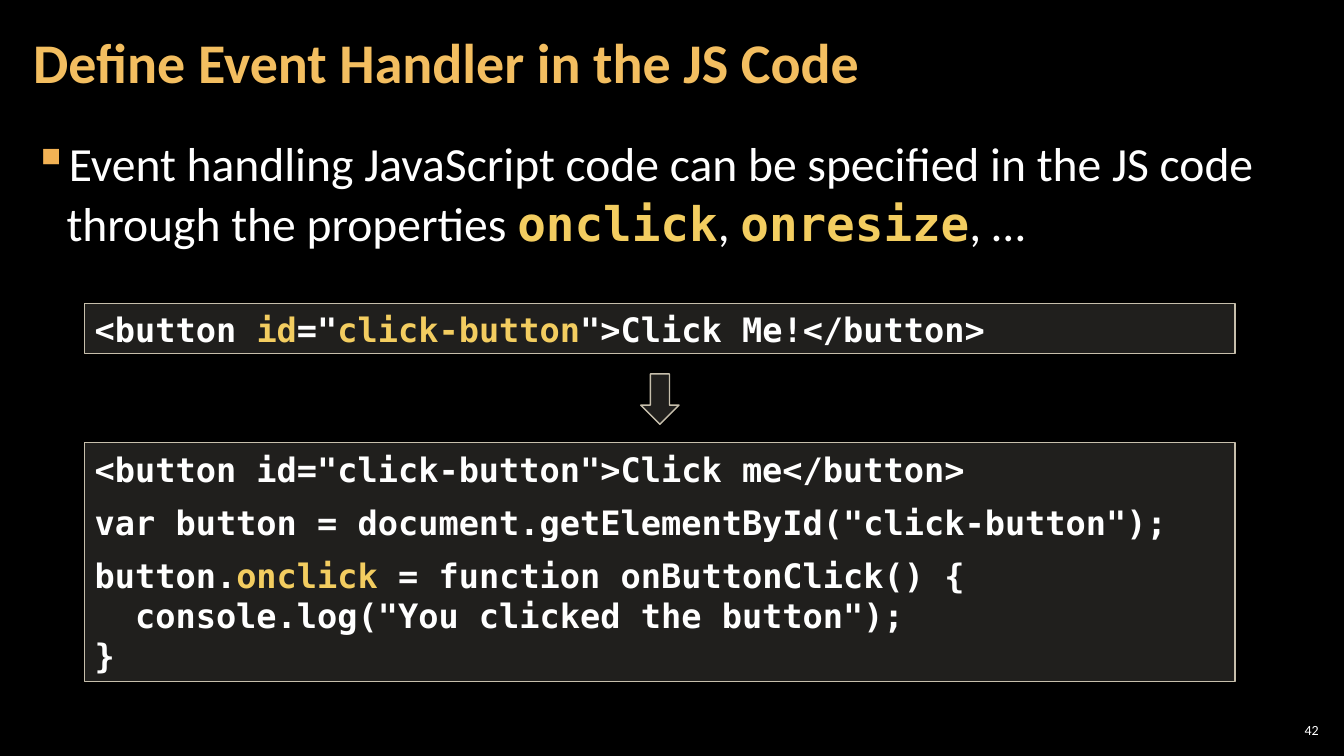
from lxml.etree import SubElement
from pptx import Presentation
from pptx.dml.color import RGBColor
from pptx.enum.shapes import MSO_SHAPE
from pptx.enum.text import MSO_ANCHOR, PP_ALIGN
from pptx.oxml.ns import qn
from pptx.util import Inches, Pt

COLORS = {
    "background": "000000",
    "text": "FFFFFF",
    "title": "F3BE60",
    "highlight": "F3CD60",
    "bullet": "F2B254",
    "panel": "D9D5C7",
    "border": "C7BFAC",
}
BODY_FONT = "Calibri"
CODE_FONT = "DejaVu Sans Mono"
PANEL_LEFT, PANEL_WIDTH = 0.84, 11.41
ARROW_WIDTH = 0.38


def color(name):
    return RGBColor.from_string(COLORS[name])


def add_span(para, text, font=BODY_FONT, size=24, fill="text", bold=False):
    span = para.add_run()
    span.text = text
    span.font.name = font
    span.font.size = Pt(size)
    span.font.bold = bold
    span.font.color.rgb = color(fill)


class SlideBuilder:
    def __init__(self, deck):
        self.slide = deck.slides.add_slide(deck.slide_layouts[6])
        background = self.slide.background.fill
        background.solid()
        background.fore_color.rgb = color("background")

    def text_box(self, left, top, width, height, anchor=MSO_ANCHOR.TOP, inset=0.12):
        box = self.slide.shapes.add_textbox(
            Inches(left), Inches(top), Inches(width), Inches(height))
        frame = box.text_frame
        frame.word_wrap = True
        frame.vertical_anchor = anchor
        frame.margin_left = frame.margin_right = Inches(inset)
        frame.margin_top = frame.margin_bottom = Inches(0.04)
        return frame.paragraphs[0]

    def bullet(self, para, character, indent):
        properties = para._p.get_or_add_pPr()
        properties.set("marL", str(Inches(indent)))
        properties.set("indent", str(-Inches(indent)))
        bullet_color = SubElement(properties, qn("a:buClr"))
        SubElement(bullet_color, qn("a:srgbClr"), val=COLORS["bullet"])
        SubElement(properties, qn("a:buChar"), char=character)

    def panel(self, kind, left, top, width, height):
        shape = self.slide.shapes.add_shape(
            kind, Inches(left), Inches(top), Inches(width), Inches(height))
        shape.shadow.inherit = False
        shape.fill.solid()
        shape.fill.fore_color.rgb = color("panel")
        tint = shape.fill._xPr.find(qn("a:solidFill"))[0]
        SubElement(tint, qn("a:alpha"), val="15000")
        shape.line.color.rgb = color("border")
        shape.line.width = Pt(1)
        return shape

    def code(self, top, height, lines):
        """Each line is (space before, parts); odd parts are highlighted."""
        shape = self.panel(MSO_SHAPE.RECTANGLE, PANEL_LEFT, top, PANEL_WIDTH, height)
        frame = shape.text_frame
        frame.word_wrap = True
        frame.vertical_anchor = MSO_ANCHOR.MIDDLE
        for number, (space, parts) in enumerate(lines):
            para = frame.add_paragraph() if number else frame.paragraphs[0]
            para.alignment = PP_ALIGN.LEFT
            para.space_before = Pt(space)
            for index, text in enumerate(parts):
                add_span(para, text, font=CODE_FONT, bold=True,
                         fill="highlight" if index % 2 else "text")


def main():
    deck = Presentation()
    deck.slide_width, deck.slide_height = Inches(13.33), Inches(7.5)
    page = SlideBuilder(deck)

    # Slide number
    para = page.text_box(12.65, 7.14, 0.47, 0.21, MSO_ANCHOR.MIDDLE, inset=0.04)
    para.alignment = PP_ALIGN.RIGHT
    add_span(para, "42", size=10)

    # Explanation
    para = page.text_box(0.21, 1.26, 12.91, 6.09)
    page.bullet(para, "▪", 0.33)
    para.line_spacing = 1.05
    para.space_after = Pt(6)
    parts = ["Event handling JavaScript code can be specified in the JS code "
             "through the properties ", "onclick", ", ", "onresize", ", …"]
    for index, text in enumerate(parts):
        if index % 2:
            add_span(para, text, font=CODE_FONT, size=34, fill="highlight", bold=True)
        else:
            add_span(para, text, size=34)

    # Title
    para = page.text_box(0.21, 0.04, 10.47, 1.21, MSO_ANCHOR.MIDDLE)
    para.line_spacing = 0.9
    add_span(para, "Define Event Handler in the JS Code", size=40, fill="title", bold=True)

    # Code before and after
    page.code(3.01, 0.5, [
        (0, ['<button ', 'id', '="', 'click-button', '">Click Me!</button>']),
    ])
    page.code(4.39, 2.37, [
        (0, ['<button id="click-button">Click me</button>']),
        (9, ['var button = document.getElementById("click-button");']),
        (9, ['button.', 'onclick', ' = function onButtonClick() {']),
        (0, ['  console.log("You clicked the button");']),
        (0, ['}']),
    ])

    # Arrow between the panels
    page.panel(MSO_SHAPE.DOWN_ARROW, PANEL_LEFT + (PANEL_WIDTH - ARROW_WIDTH) / 2,
               3.71, ARROW_WIDTH, 0.5)

    deck.save("out.pptx")


if __name__ == "__main__":
    main()
